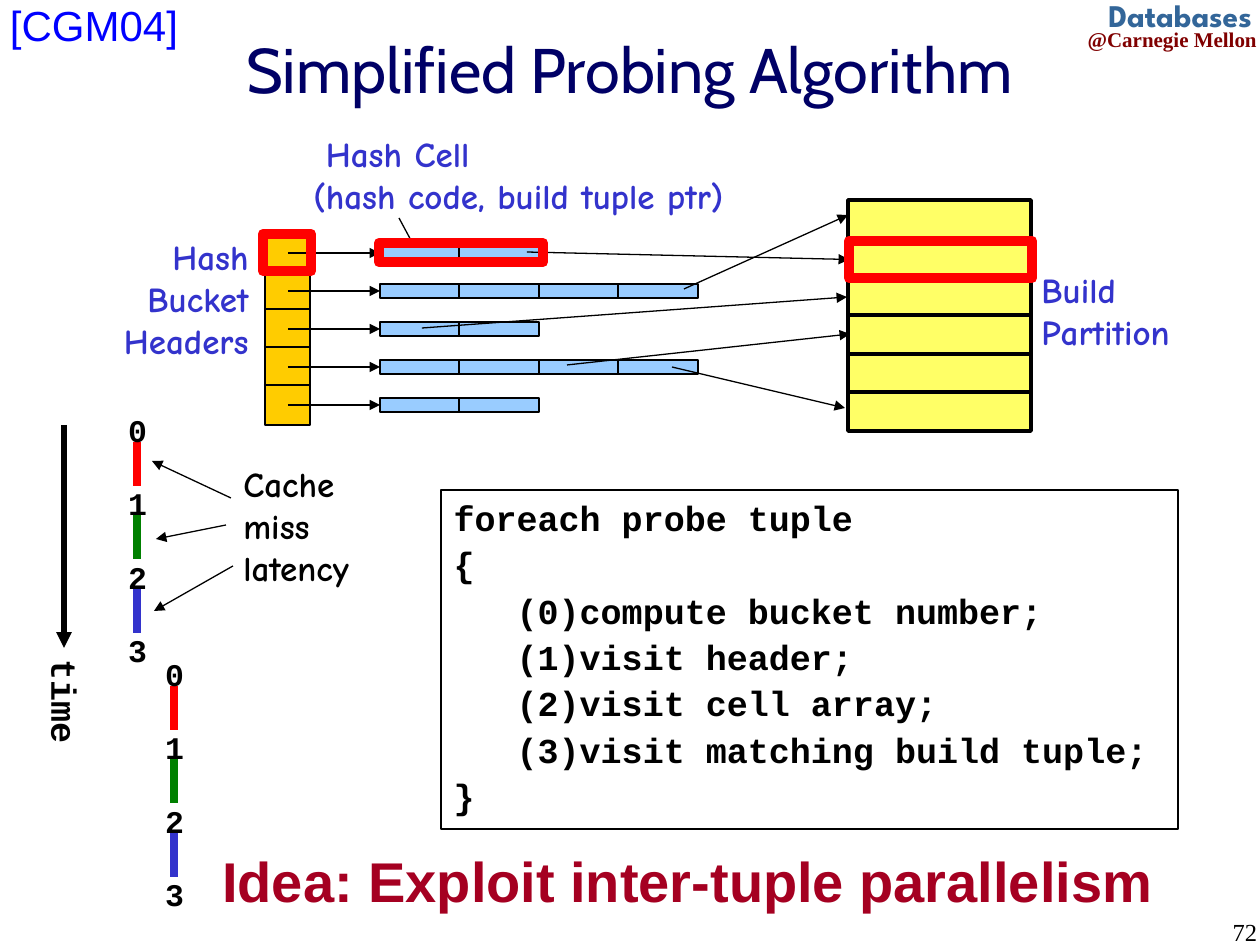
import dataclasses

import pptx
import pptx.dml.color
import pptx.enum.shapes
import pptx.enum.text
import pptx.oxml.ns
import pptx.util

SCALE = 914400 / 126
Align = pptx.enum.text.PP_ALIGN
Anchor = pptx.enum.text.MSO_ANCHOR
Shape = pptx.enum.shapes.MSO_SHAPE
Link = pptx.enum.shapes.MSO_CONNECTOR
qn = pptx.oxml.ns.qn


def style(size, name, color, bold=True):
    return {"size": pptx.util.Pt(size), "name": name, "bold": bold}, color


@dataclasses.dataclass(frozen=True)
class Theme:
    black = "000000"
    red = "FF0000"
    gold = "FFCC00"
    sky = "99CCFF"
    lemon = "FFFF66"
    steps = ("FF0000", "008000", "3333CC")
    title = style(36, "Cabin", "000066", False)
    code = style(20, "Courier New", "000000")
    digit = style(18, "Courier New", "000000")
    label = style(20, "Comic Neue", "3333CC")
    note = style(20, "Comic Neue", "000000")
    idea = style(32, "Arial", "A50021")
    cite = style(24, "Arial", "0000FF", False)
    group = style(18, "League Spartan", "336699")
    school = style(12, "Times New Roman", "800000")
    page = style(14, "Times New Roman", "000000", False)


THEME = Theme()

CODE = """foreach probe tuple
{
   (0)compute bucket number;
   (1)visit header;
   (2)visit cell array;
   (3)visit matching build tuple;
}"""


def px(count):
    return pptx.util.Emu(round(count * SCALE))


def rgb(color):
    return pptx.dml.color.RGBColor.from_string(color)


def assign(target, values):
    for key, value in values.items():
        setattr(target, key, value)


def place(shape, box):
    assign(shape, dict(zip(("left", "top", "width", "height"), map(px, box))))


def write(para, words, look, align=Align.LEFT):
    para.text = words
    para.alignment = align
    values, color = look
    for run in para.runs:
        assign(run.font, values)
        run.font.color.rgb = rgb(color)


def text(slide, box, words, look, align=Align.LEFT, pad=True):
    shape = slide.shapes.add_textbox(*map(px, box))
    frame = shape.text_frame
    frame.word_wrap = True
    if not pad:
        sides = ("left", "top", "right", "bottom")
        assign(frame, {f"margin_{side}": 0 for side in sides})
    write(frame.paragraphs[0], words, look, align)
    return shape


def rect(slide, box, fill=None, color=THEME.black, width=0.75):
    shape = slide.shapes.add_shape(Shape.RECTANGLE, *map(px, box))
    shape.shadow.inherit = False
    if fill:
        shape.fill.solid()
        shape.fill.fore_color.rgb = rgb(fill)
    else:
        shape.fill.background()
    shape.line.color.rgb = rgb(color)
    shape.line.width = pptx.util.Pt(width)
    return shape


def line(slide, start, end, width=0.75, color=THEME.black, head=False):
    edge = slide.shapes.add_connector(Link.STRAIGHT, *map(px, start + end))
    edge.line.color.rgb = rgb(color)
    edge.line.width = pptx.util.Pt(width)
    props = edge._element.spPr
    if head:
        tip = props.find(qn("a:ln")).makeelement(qn("a:tailEnd"), {"type": "triangle"})
        props.find(qn("a:ln")).append(tip)
    props.append(props.makeelement(qn("a:effectLst"), {}))
    return edge


def heading(slide):
    title = slide.shapes.title
    place(title, (10, 21, 1239, 95))
    title.text_frame.vertical_anchor = Anchor.MIDDLE
    write(title.text_frame.paragraphs[0], "Simplified Probing Algorithm",
          THEME.title, Align.CENTER)
    text(slide, (1057, 27, 200, 26), "@Carnegie Mellon", THEME.school, Align.RIGHT, False)
    text(slide, (1057, -4, 195, 38), "Databases", THEME.group, Align.RIGHT, False)
    text(slide, (10, 0, 200, 50), "[CGM04]", THEME.cite, pad=False)


def listing(slide):
    body = slide.placeholders[1]
    place(body, (441, 490, 737, 339))
    body.line.color.rgb = rgb(THEME.black)
    body.line.width = pptx.util.Pt(0.75)
    frame = body.text_frame
    assign(frame, {"auto_size": pptx.enum.text.MSO_AUTO_SIZE.NONE,
                   "vertical_anchor": Anchor.TOP, "word_wrap": True})
    for i, words in enumerate(CODE.split("\n")):
        para = frame.add_paragraph() if i else frame.paragraphs[0]
        props = para._p.get_or_add_pPr()
        assign(props, {"marL": 0, "indent": 0})
        props.append(props.makeelement(qn("a:buNone"), {}))
        para.space_before = pptx.util.Pt(2.5 if i else 0)
        write(para, words, THEME.code)


def buckets(slide):
    """Header column, with an arrow to the cell array of each bucket."""
    rect(slide, (265, 233, 45, 192), THEME.gold, width=1)
    for i, count in enumerate((2, 4, 2, 4, 2)):
        mid = 253 + 38 * i
        if i:
            line(slide, (264, mid - 20), (309, mid - 20))
        edges = [380 + 159 * j // 2 for j in range(count + 1)]
        cells = [rect(slide, (left, mid - 7, right - left, 14), THEME.sky)
                 for left, right in zip(edges, edges[1:])]
        arrow = line(slide, (288, mid), (380, mid), 1.25, head=True)
        arrow.end_connect(cells[0], 1)


def build(slide):
    rect(slide, (848, 200, 183, 231), THEME.lemon, width=2)
    for i in range(1, 6):
        level = 200 + 77 * i // 2
        line(slide, (849, level), (1031, level), 2)


def lookup(slide):
    """Pointers from cells to build tuples, and the probed path in red."""
    for start, end in (((672, 367), (845, 408)), ((684, 289), (848, 215)),
                       ((422, 328), (847, 297)), ((567, 365), (850, 334))):
        line(slide, start, end, head=True)
    line(slide, (399, 218), (413, 244))
    match = line(slide, (527, 252), (845, 260), head=True)
    boxes = [rect(slide, box, color=THEME.red, width=6)
             for box in ((263, 234, 48, 37), (379, 243, 164, 19), (849, 241, 183, 37))]
    match.end_connect(boxes[-1], 1)


def labels(slide):
    text(slide, (23, 229, 238, 139), "Hash\nBucket\nHeaders", THEME.label, Align.RIGHT)
    text(slide, (301, 126, 567, 97), " Hash Cell\n(hash code, build tuple ptr)",
         THEME.label)
    text(slide, (1029, 262, 188, 97), "Build\nPartition", THEME.label)
    text(slide, (231, 456, 164, 139), "Cache miss latency", THEME.note)
    text(slide, (168, 840, 1040, 81), "Idea: Exploit inter-tuple parallelism",
         THEME.idea, Align.CENTER)
    text(slide, (1100, 917, 157, 28), "72", THEME.page, Align.RIGHT, False)


def probe(slide, mid, top):
    """Steps 0 to 3 of one probe, with a bar for each wait between them."""
    for i in range(4):
        level = top + 147 * i // 2
        if i < 3:
            line(slide, (mid, level + 31), (mid, level + 75), 4.5, THEME.steps[i])
        text(slide, (mid - 16, level, 33, 38), str(i), THEME.digit, Align.CENTER, False)


def timeline(slide):
    probe(slide, 137, 411)
    probe(slide, 174, 655)
    line(slide, (64, 425), (64, 648), 3, head=True)
    text(slide, (-10, 674, 150, 55), "time", THEME.code, Align.CENTER).rotation = 90
    for start, end in (((231, 498), (152, 461)), ((226, 525), (156, 539)),
                       ((233, 566), (154, 611))):
        line(slide, start, end, head=True)


def main():
    deck = pptx.Presentation()
    assign(deck, {"slide_width": px(1260), "slide_height": px(945)})
    slide = deck.slides.add_slide(deck.slide_layouts[1])
    for draw in (heading, listing, buckets, build, lookup, labels, timeline):
        draw(slide)
    deck.save("out.pptx")


if __name__ == "__main__":
    main()
